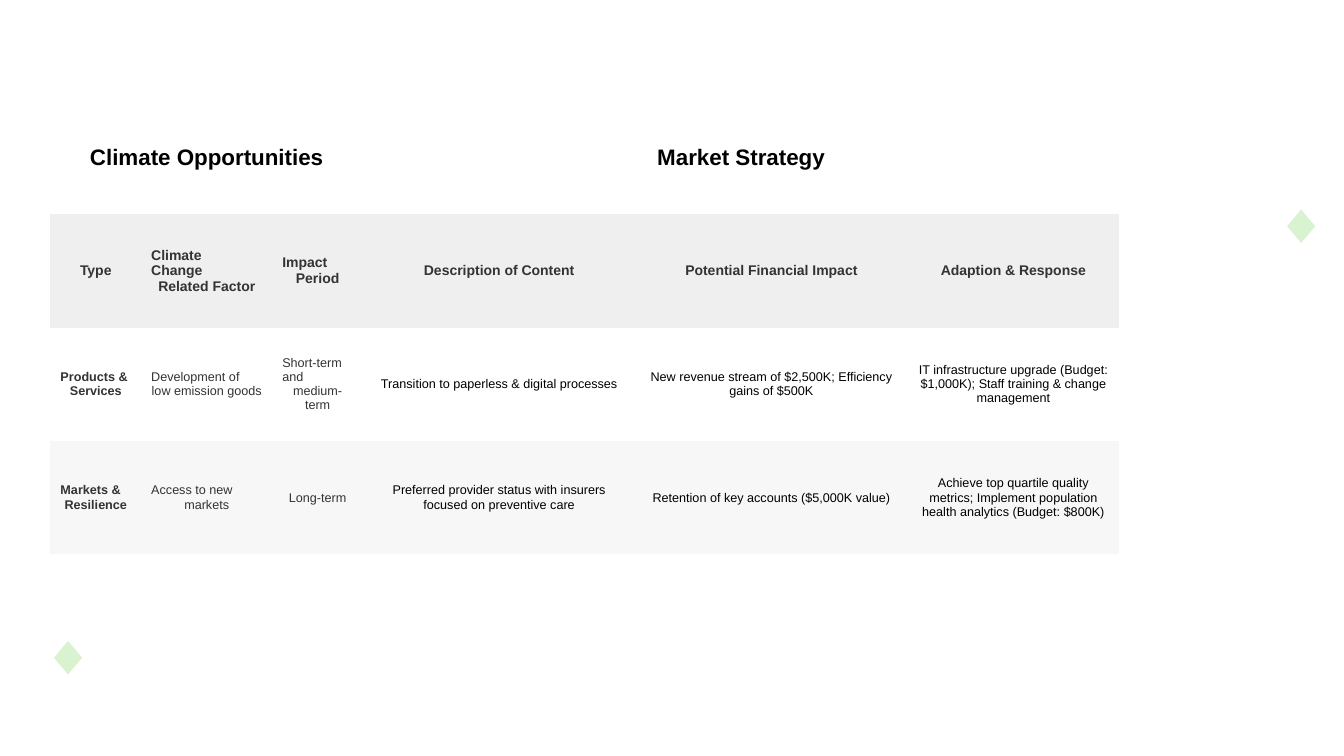
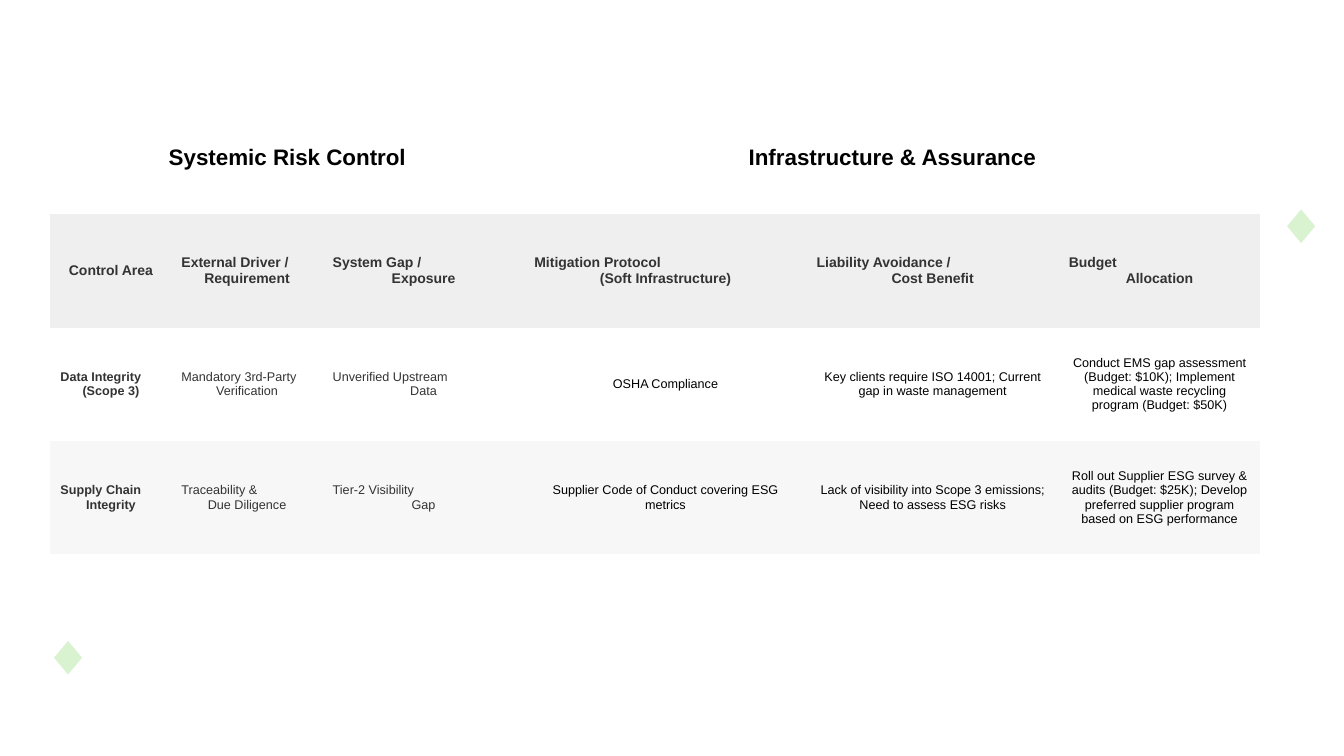
"""Builds two slides that tabulate climate opportunities and risk controls."""
from lxml.etree import SubElement
from pptx import Presentation
from pptx.dml.color import RGBColor
from pptx.enum.shapes import MSO_SHAPE
from pptx.enum.text import MSO_ANCHOR, PP_ALIGN
from pptx.oxml.ns import qn
from pptx.util import Pt

PX = 9144
FONT = "Arial"
WHITE, BLACK, GREY, GREEN = "FFFFFF", "000000", "333333", "D9F2D0"
ROW_FILLS = [WHITE, "EFEFEF", WHITE, "F7F7F7"]
NO_STYLE = "{2D5ABB26-0587-4C30-8999-92F81FD0307C}"
DIAMONDS = [(1275, 206), (52, 634)]
TABLES = [
    {
        "widths": [90, 130, 90, 270, 270, 210],
        "titles": ["Climate Opportunities", "Market Strategy"],
        "rows": [
            ["Type", "Climate\nChange\nRelated Factor", "Impact\nPeriod",
             "Description of Content", "Potential Financial Impact",
             "Adaption & Response"],
            ["Products &\nServices", "Development of\nlow emission goods",
             "Short-term\nand\nmedium-term",
             "Transition to paperless & digital processes",
             "New revenue stream of $2,500K; Efficiency gains of $500K",
             "IT infrastructure upgrade (Budget: $1,000K); "
             "Staff training & change management"],
            ["Markets &\nResilience", "Access to new\nmarkets", "Long-term",
             "Preferred provider status with insurers focused on preventive care",
             "Retention of key accounts ($5,000K value)",
             "Achieve top quartile quality metrics; "
             "Implement population health analytics (Budget: $800K)"],
        ],
    },
    {
        "widths": [120, 150, 200, 280, 250, 200],
        "titles": ["Systemic Risk Control", "Infrastructure & Assurance"],
        "rows": [
            ["Control Area", "External Driver /\nRequirement",
             "System Gap /\nExposure", "Mitigation Protocol\n(Soft Infrastructure)",
             "Liability Avoidance /\nCost Benefit", "Budget\nAllocation"],
            ["Data Integrity\n(Scope 3)", "Mandatory 3rd-Party\nVerification",
             "Unverified Upstream\nData", "OSHA Compliance",
             "Key clients require ISO 14001; Current gap in waste management",
             "Conduct EMS gap assessment (Budget: $10K); "
             "Implement medical waste recycling program (Budget: $50K)"],
            ["Supply Chain\nIntegrity", "Traceability &\nDue Diligence",
             "Tier-2 Visibility\nGap",
             "Supplier Code of Conduct covering ESG metrics",
             "Lack of visibility into Scope 3 emissions; Need to assess ESG risks",
             "Roll out Supplier ESG survey & audits (Budget: $25K); "
             "Develop preferred supplier program based on ESG performance"],
        ],
    },
]


def paint(fill, color):
    fill.solid()
    fill.fore_color.rgb = RGBColor.from_string(color)


def write(cell, text, size=9, color=BLACK, bold=False):
    cell.vertical_anchor = MSO_ANCHOR.MIDDLE
    paragraph = cell.text_frame.paragraphs[0]
    paragraph.alignment = PP_ALIGN.CENTER
    run = paragraph.add_run()
    run.text = text
    run.font.name, run.font.size, run.font.bold = FONT, Pt(size), bold
    paint(run.font.fill, color)


deck = Presentation()
deck.slide_width, deck.slide_height = 1333 * PX, 750 * PX

for content in TABLES:
    slide = deck.slides.add_slide(deck.slide_layouts[6])
    paint(slide.background.fill, WHITE)

    arc = slide.shapes.add_shape(
        MSO_SHAPE.ARC, 1090 * PX, -338 * PX, 400 * PX, 497 * PX)
    arc.shadow.inherit = False
    arc.rotation = 151.3
    arc.adjustments[0], arc.adjustments[1] = 91.23, 129.22
    arc.fill.background()
    arc.line.width = Pt(46.25)
    paint(arc.line.fill, GREEN)
    arc_color = arc._element.spPr.find(".//" + qn("a:srgbClr"))
    SubElement(arc_color, qn("a:alpha"), val="60000")

    for left, top in DIAMONDS:
        diamond = slide.shapes.add_shape(
            MSO_SHAPE.DIAMOND, left * PX, top * PX, 31 * PX, 37 * PX)
        diamond.shadow.inherit = False
        paint(diamond.fill, GREEN)
        paint(diamond.line.fill, WHITE)
        diamond.line.width = Pt(1.5)

    widths = content["widths"]
    table = slide.shapes.add_table(
        len(ROW_FILLS), len(widths),
        50 * PX, 100 * PX, sum(widths) * PX, 450 * PX).table
    table._tbl.tblPr.find(qn("a:tableStyleId")).text = NO_STYLE
    for column, width in zip(table.columns, widths):
        column.width = width * PX
    for row, row_fill in zip(table.rows, ROW_FILLS):
        for cell in row.cells:
            paint(cell.fill, row_fill)

    for first, title in zip((0, 3), content["titles"]):
        table.cell(0, first).merge(table.cell(0, first + 2))
        write(table.cell(0, first), title, size=16, bold=True)

    for r, texts in enumerate(content["rows"], start=1):
        header = r == 1
        for c, text in enumerate(texts):
            write(table.cell(r, c), text,
                  size=10 if header else 9,
                  color=GREY if header or c < 3 else BLACK,
                  bold=header or c == 0)

deck.save("out.pptx")
